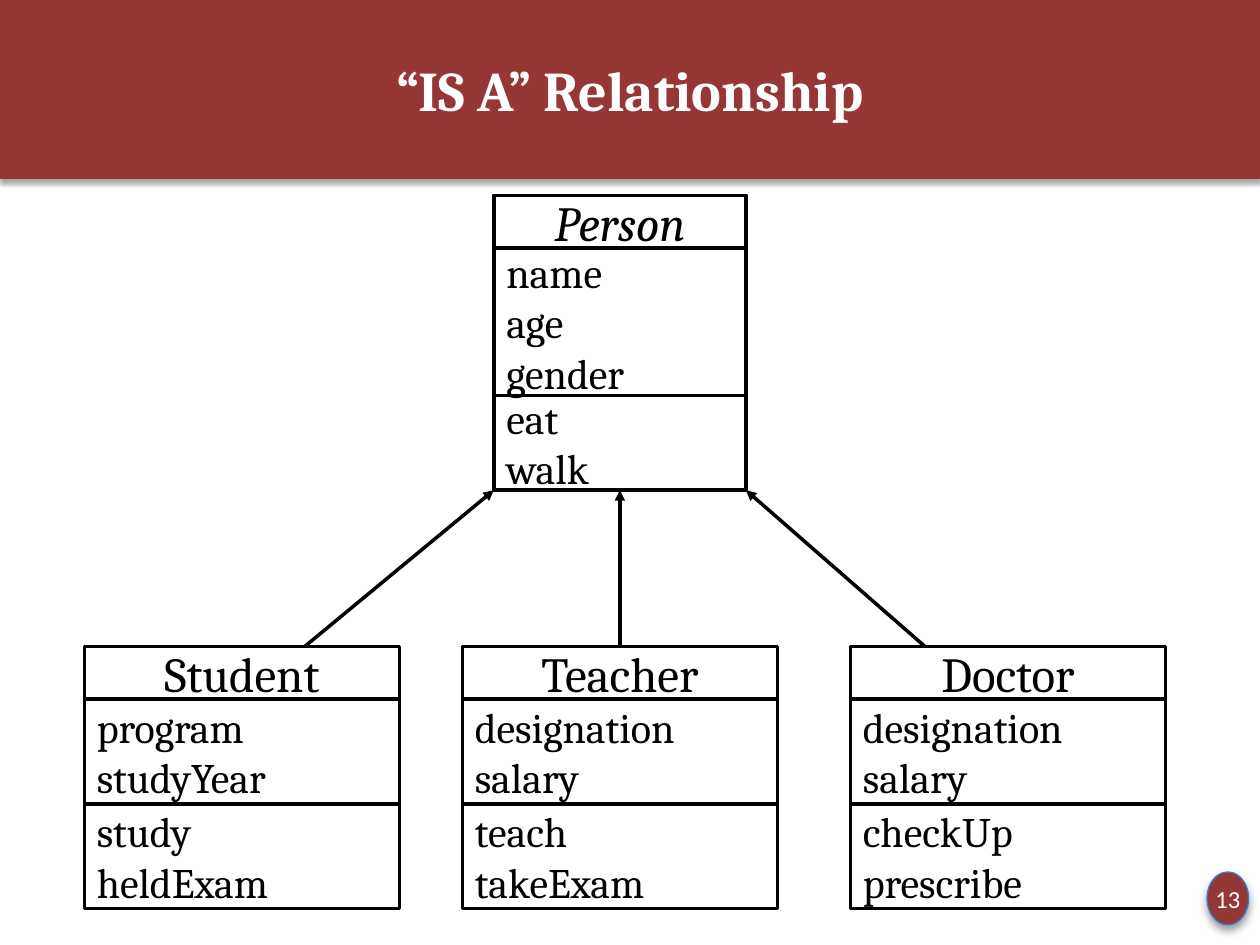
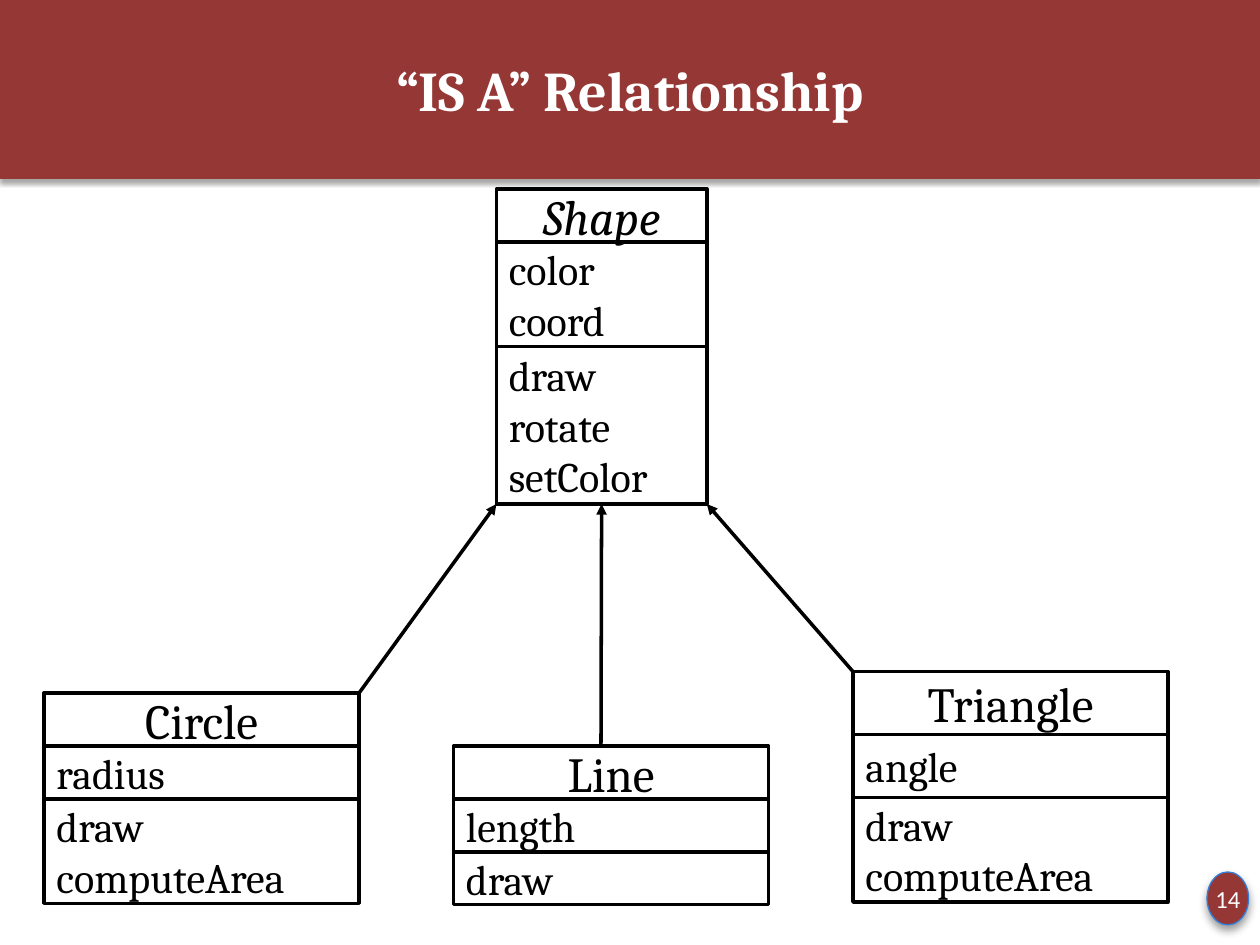
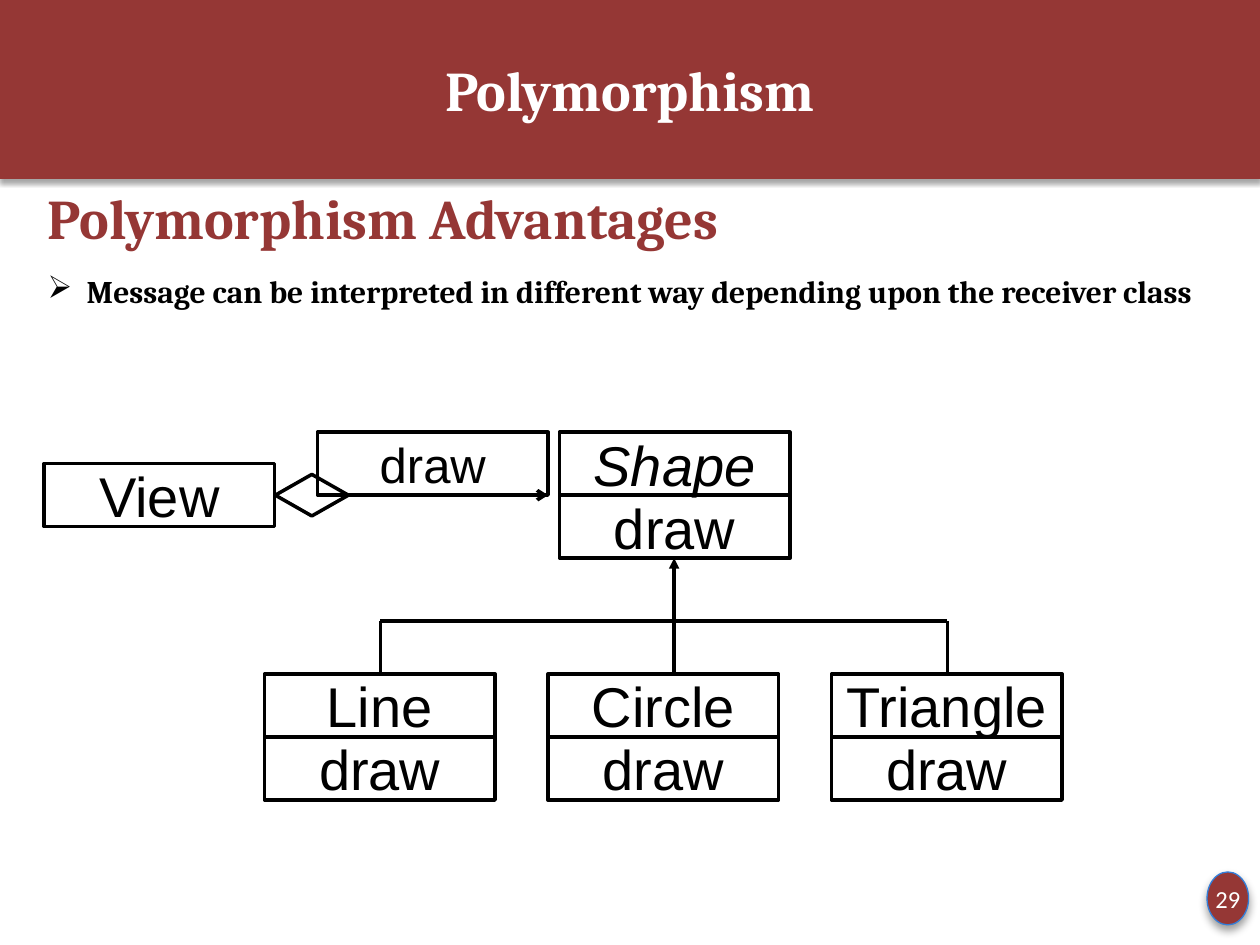
from lxml.etree import SubElement
from pptx import Presentation
from pptx.dml.color import RGBColor
from pptx.enum.shapes import MSO_CONNECTOR, MSO_SHAPE
from pptx.enum.text import MSO_ANCHOR, PP_ALIGN
from pptx.oxml.ns import qn
from pptx.util import Inches, Pt

RED, BLACK, WHITE, BLUE = "953735", "000000", "FFFFFF", "337ED9"

# A class is (left, top, width, rows); a row is (height, lines), the first one the name.
# A child class starts with the x at which its line leaves its top edge.
TREES = [
    {
        "title": "“IS A” Relationship", "page": "13",
        "root": (3.92, 1.55, 2, [(0.42, ["Person"]), (1.17, ["name", "age", "gender"]),
                                 (0.75, ["eat", "walk"])]),
        "kids": [
            (2.42, 0.67, 5.13, 2.5, [(0.42, ["Student"]), (0.83, ["program", "studyYear"]),
                                     (0.83, ["study", "heldExam"])]),
            (4.92, 3.67, 5.13, 2.5, [(0.42, ["Teacher"]), (0.83, ["designation", "salary"]),
                                     (0.83, ["teach", "takeExam"])]),
            (7.34, 6.75, 5.13, 2.5, [(0.42, ["Doctor"]), (0.83, ["designation", "salary"]),
                                     (0.83, ["checkUp", "prescribe"])]),
        ],
    },
    {
        "title": "“IS A” Relationship", "page": "14",
        "root": (3.94, 1.5, 1.67, [(0.42, ["Shape"]), (0.83, ["color", "coord"]),
                                   (1.25, ["draw", "rotate", "setColor"])]),
        "kids": [
            (2.85, 0.35, 5.5, 2.5, [(0.42, ["Circle"]), (0.42, ["radius"]),
                                    (0.83, ["draw", "computeArea"])]),
            (4.77, 3.6, 5.92, 2.5, [(0.42, ["Line"]), (0.42, ["length"]), (0.42, ["draw"])]),
            (6.77, 6.77, 5.33, 2.5, [(0.5, ["Triangle"]), (0.5, ["angle"]),
                                     (0.83, ["draw", "computeArea"])]),
        ],
    },
]
POLY = {
    "title": "Polymorphism", "page": "29",
    "head": "Polymorphism Advantages",
    "point": "Message can be interpreted in different way depending upon the receiver class",
    "kids": [("Line", 3.02), ("Circle", 5.35), ("Triangle", 7.52)],
}

HEAD = {"name": "Cambria", "size": Pt(32), "bold": True}
NAME = {"name": "Cambria", "size": Pt(28)}
ITEM = {"name": "Cambria", "size": Pt(24)}
NODE = {"name": "Arial", "size": Pt(32)}
CALL = {"name": "Arial", "size": Pt(28)}
PAGE = {"name": "Calibri", "size": Pt(14)}
ITALIC = {"italic": True}


def rgb(code):
    return RGBColor.from_string(code)


def write(para, text, font, color=BLACK):
    run = para.add_run()
    run.text = text
    for key, value in font.items():
        setattr(run.font, key, value)
    run.font.color.rgb = rgb(color)


def shape(slide, kind, at, fill=None, line=None, weight=2):
    item = slide.shapes.add_shape(kind, *map(Inches, at))
    item.shadow.inherit = False
    if fill:
        item.fill.solid()
        item.fill.fore_color.rgb = rgb(fill)
    else:
        item.fill.background()
    if line:
        item.line.color.rgb = rgb(line)
        item.line.width = Pt(weight)
    else:
        item.line.fill.background()
    return item


def label(item, lines, font, color=BLACK, center=True):
    frame = item.text_frame
    frame.word_wrap = not center
    frame.vertical_anchor = MSO_ANCHOR.MIDDLE
    for i, text in enumerate(lines):
        para = frame.add_paragraph() if i else frame.paragraphs[0]
        para.alignment = PP_ALIGN.CENTER if center else PP_ALIGN.LEFT
        write(para, text, font, color)


def shade(item, blur, dist, alpha):
    """Cast a soft black shadow straight down."""
    effects = item._element.spPr.find(qn("a:effectLst"))
    outer = SubElement(effects, qn("a:outerShdw"), blurRad=str(Pt(blur)),
                       dist=str(Pt(dist)), dir="5400000", rotWithShape="0")
    tint = SubElement(outer, qn("a:srgbClr"), val=BLACK)
    SubElement(tint, qn("a:alpha"), val=str(alpha * 1000))


def link(slide, x1, y1, x2, y2, tip=None):
    wire = slide.shapes.add_connector(MSO_CONNECTOR.STRAIGHT, *map(Inches, (x1, y1, x2, y2)))
    wire.line.color.rgb = rgb(BLACK)
    wire.line.width = Pt(2)
    if tip:
        SubElement(wire.line._get_or_add_ln(), qn("a:tailEnd"), type=tip)
    SubElement(wire._element.spPr, qn("a:effectLst"))


def box(slide, at, lines, font, center=True):
    label(shape(slide, MSO_SHAPE.RECTANGLE, at, line=BLACK), lines, font, center=center)


def stack(slide, left, top, width, rows, name, item, center=False):
    """Draw a class box row by row and return its bottom."""
    for i, (height, lines) in enumerate(rows):
        box(slide, (left, top, width, height), lines, item if i else name,
            center=center or i == 0)
        top += height
    return top


def start(deck, title, page):
    slide = deck.slides.add_slide(deck.slide_layouts[6])
    band = shape(slide, MSO_SHAPE.RECTANGLE, (0, 0, 10, 1.42), RED)
    shade(band, 3.1, 1.8, 35)
    label(band, [title], HEAD, WHITE)
    badge = shape(slide, MSO_SHAPE.OVAL, (9.58, 6.92, 0.33, 0.42), RED, BLUE, 0.75)
    shade(badge, 5.2, 3, 40)
    for side in ("left", "right", "top", "bottom"):
        setattr(badge.text_frame, "margin_" + side, 0)
    label(badge, [page], PAGE, WHITE)
    return slide


def tree(deck, data):
    slide = start(deck, data["title"], data["page"])
    left, top, width, rows = data["root"]
    base = stack(slide, left, top, width, rows, NAME | ITALIC, ITEM)
    for i, (foot, *kid) in enumerate(data["kids"]):
        stack(slide, *kid, NAME, ITEM)
        link(slide, foot, kid[1], left + width * i / 2, base, "triangle")


def advice(slide, head, point):
    frame = slide.shapes.add_textbox(*map(Inches, (0.28, 1.41, 9.45, 3.68))).text_frame
    frame.word_wrap = True
    write(frame.paragraphs[0], head, HEAD, RED)
    para = frame.add_paragraph()
    para.space_before, para.space_after = Pt(12), Pt(6)
    write(para, point, HEAD | {"size": Pt(18)})
    props = para._p.get_or_add_pPr()
    props.set("marL", str(Inches(0.31)))
    props.set("indent", str(-Inches(0.31)))
    SubElement(props, qn("a:buChar"), char="➢")


def poly(deck, data):
    slide = start(deck, data["title"], data["page"])
    advice(slide, data["head"], data["point"])
    wide, high, rail, top = 1.83, 0.5, 4.93, 5.35

    def pair(name, left, y, font):
        rows = [(high, [name]), (high, ["draw"])]
        return stack(slide, left, y, wide, rows, font, NODE, True)

    base = pair("Shape", 4.44, 3.43, NODE | ITALIC)
    feet = [foot for _, foot in data["kids"]]
    link(slide, feet[1], rail, feet[1], base, "triangle")
    link(slide, feet[0], rail, feet[-1], rail)
    for i, (name, foot) in enumerate(data["kids"]):
        pair(name, 2.1 + 2.25 * i, top, NODE)
        link(slide, foot, rail, foot, top)

    link(slide, 2.77, 3.93, 4.35, 3.93, "arrow")
    box(slide, (2.52, 3.43, wide, high), ["draw"], CALL)
    box(slide, (0.35, 3.68, wide, high), ["View"], NODE)
    gem = shape(slide, MSO_SHAPE.DIAMOND, (2.31, 3.64, 0.33, 0.58), line=BLACK)
    gem.rotation = 270


def main():
    deck = Presentation()
    deck.slide_width, deck.slide_height = Inches(10), Inches(7.5)
    for data in TREES:
        tree(deck, data)
    poly(deck, POLY)
    deck.save("out.pptx")


if __name__ == "__main__":
    main()
